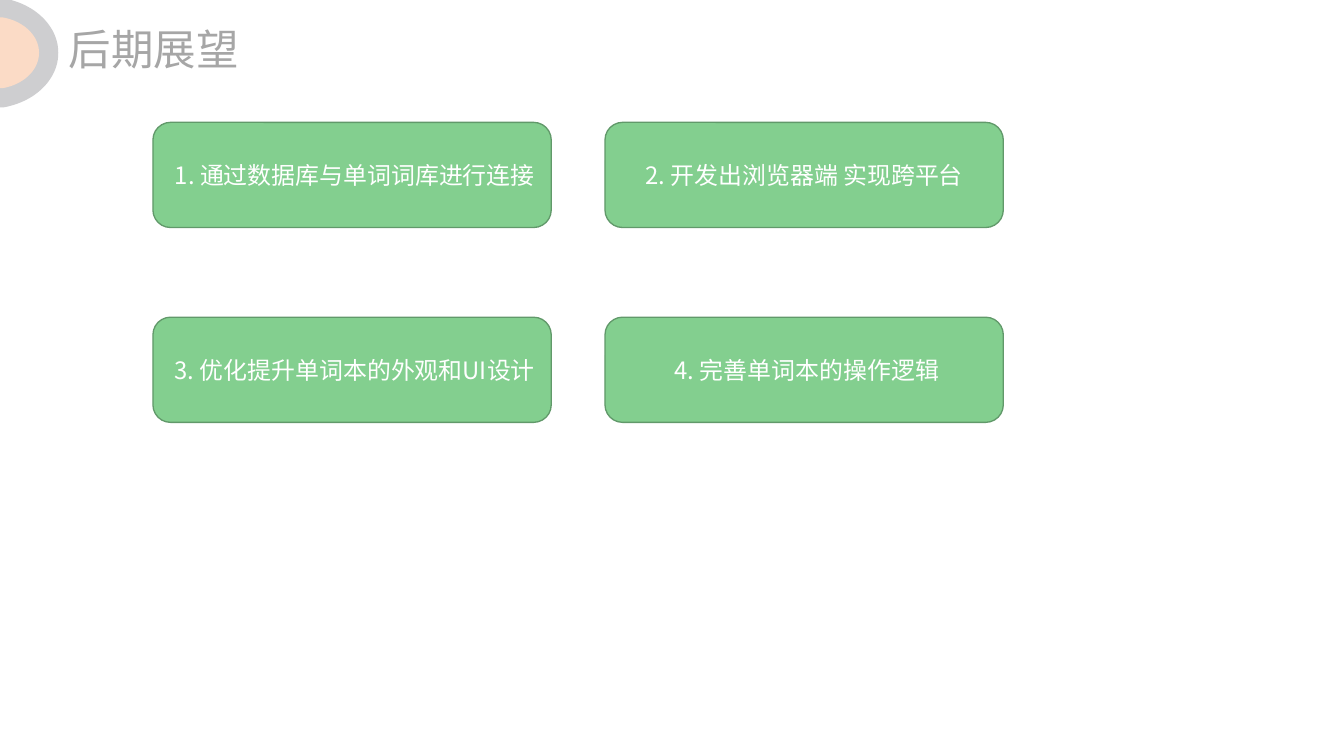
from dataclasses import dataclass

from lxml.etree import SubElement
from pptx import Presentation
from pptx.dml.color import RGBColor
from pptx.enum.shapes import MSO_SHAPE
from pptx.enum.text import MSO_ANCHOR, MSO_AUTO_SIZE, PP_ALIGN
from pptx.oxml.ns import qn
from pptx.util import Pt


@dataclass(frozen=True)
class Theme:
    font: str = "Noto Sans CJK SC"
    title_size: int = 32
    card_size: int = 18
    title: str = "A6A6A6"
    ring: str = "CECED0"
    core: str = "FBDBC6"
    card: str = "83CF8F"
    card_line: str = "61996A"
    card_text: str = "FFFFFF"


THEME = Theme()
CARDS = [
    " 1. 通过数据库与单词词库进行连接",
    " 2. 开发出浏览器端 实现跨平台 ",
    " 3. 优化提升单词本的外观和UI设计",
    " 4. 完善单词本的操作逻辑",
]


def add_run(p, text, size, color):
    r = p.add_run()
    r.text = text
    r.font.name = THEME.font
    r.font.size = Pt(size)
    r.font.color.rgb = RGBColor.from_string(color)
    SubElement(r.font._element, qn("a:ea"), typeface=THEME.font)


def add_title(s, text, left, top, width, height):
    sp = s.shapes.title
    sp.left, sp.top, sp.width, sp.height = Pt(left), Pt(top), Pt(width), Pt(height)
    tf = sp.text_frame
    tf.margin_left = tf.margin_right = tf.margin_top = tf.margin_bottom = 0
    tf.vertical_anchor = MSO_ANCHOR.MIDDLE
    tf.auto_size = MSO_AUTO_SIZE.NONE
    tf.word_wrap = True
    p = tf.paragraphs[0]
    p.alignment = PP_ALIGN.LEFT
    add_run(p, text, THEME.title_size, THEME.title)


def add_half_disc(s, left, top, width, height, color, steps=24):
    """Flat on the left, with a Bézier arc bulging to the right."""
    half, shoulder = height / 2, width * 0.07
    arc = []
    for i in range(steps + 1):
        t = i / steps
        u = 1 - t
        x = u**3 * shoulder + 3 * u * u * t * width * 0.59 + (3 * u * t * t + t**3) * width
        y = 3 * u * u * t * half * 0.1 + 3 * u * t * t * half * 0.5 + t**3 * half
        arc.append((left + x, top + y))
    lower = [(x, 2 * (top + half) - y) for x, y in reversed(arc[:-1])]
    builder = s.shapes.build_freeform(Pt(left), Pt(top), scale=1.0)
    outline = arc + lower + [(left, top + height)]
    builder.add_line_segments([(Pt(x), Pt(y)) for x, y in outline], close=True)
    sp = builder.convert_to_shape()
    sp.shadow.inherit = False
    sp.fill.solid()
    sp.fill.fore_color.rgb = RGBColor.from_string(color)
    sp.line.fill.background()


def add_badge(s, left, top, width, height):
    add_half_disc(s, left, top, width, height, THEME.ring)
    core_height = height * 0.65
    core_top = top + (height - core_height) / 2
    add_half_disc(s, left, core_top, width * 0.67, core_height, THEME.core)


def add_card(s, text, left, top, width, height):
    sp = s.shapes.add_shape(MSO_SHAPE.ROUNDED_RECTANGLE,
                            Pt(left), Pt(top), Pt(width), Pt(height))
    sp.shadow.inherit = False
    sp.fill.solid()
    sp.fill.fore_color.rgb = RGBColor.from_string(THEME.card)
    sp.line.color.rgb = RGBColor.from_string(THEME.card_line)
    sp.line.width = Pt(1)
    tf = sp.text_frame
    tf.word_wrap = True
    tf.vertical_anchor = MSO_ANCHOR.MIDDLE
    p = tf.paragraphs[0]
    p.alignment = PP_ALIGN.CENTER
    add_run(p, text, THEME.card_size, THEME.card_text)


def add_card_grid(s, texts, left, top, width, height, columns=2):
    card_width, card_height = 300, 79.2
    rows = len(texts) // columns
    step_x = (width - card_width) / (columns - 1)
    step_y = (height - card_height) / (rows - 1)
    for i, text in enumerate(texts):
        row, column = divmod(i, columns)
        add_card(s, text, left + column * step_x, top + row * step_y,
                 card_width, card_height)


def main():
    prs = Presentation()
    prs.slide_width, prs.slide_height = Pt(1012.32), Pt(569.52)
    s = prs.slides.add_slide(prs.slide_layouts[5])

    # Heading and the badge at the left edge
    add_title(s, "后期展望", 51.84, 17.28, 311, 38.9)
    add_badge(s, 0, -1.2, 43.9, 82)

    # Four plans
    add_card_grid(s, CARDS, 115.2, 92.2, 640.5, 226)

    prs.save("out.pptx")


if __name__ == "__main__":
    main()
